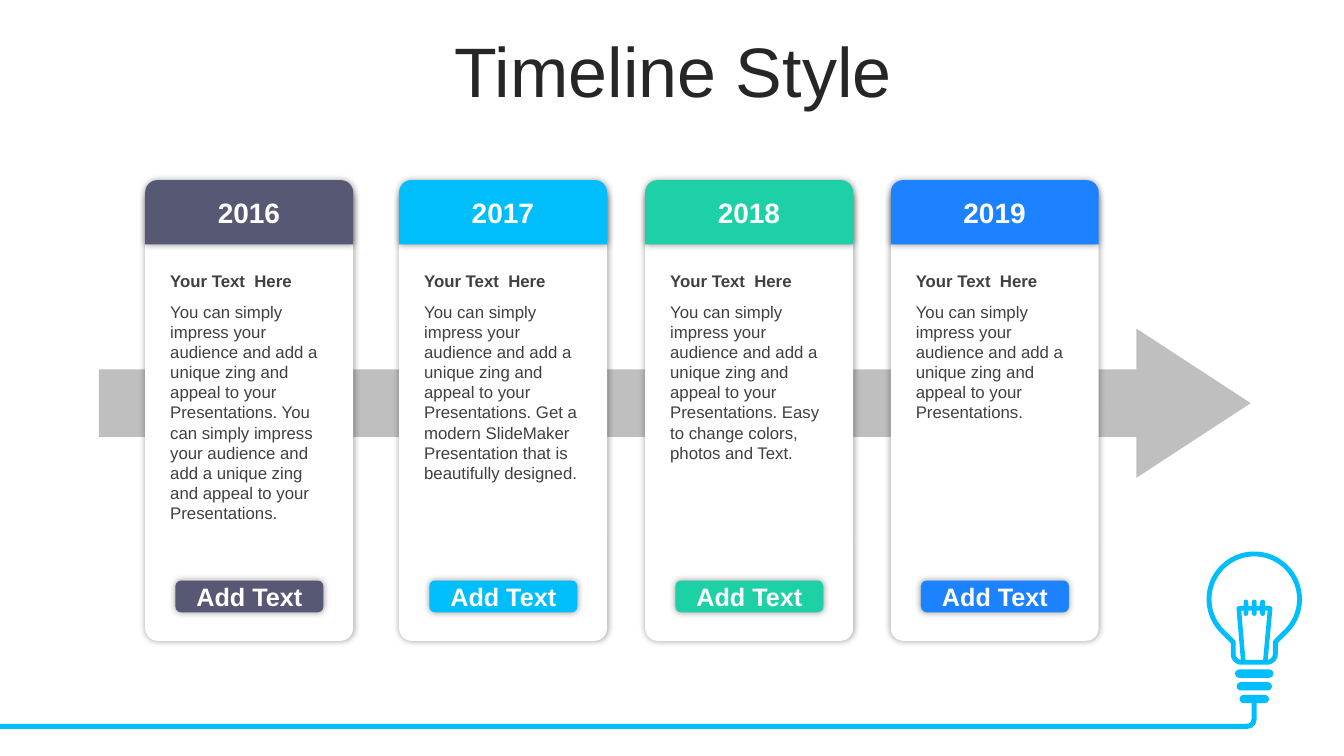
import math

from lxml import etree
from pptx import Presentation
from pptx import util as u
from pptx.dml.color import RGBColor
from pptx.enum import shapes, text
from pptx.oxml.ns import qn

Cm = u.Cm
MSO = shapes.MSO_SHAPE
CYAN, WHITE, GREY = "00BDFB", "FFFFFF", "BFBFBF"
INTRO = ("You can simply impress your audience and add a unique zing "
         "and appeal to your Presentations.")

# left edge, year, colour, description
CARDS = [
    (3.66, "2016", "565874", INTRO + " " + INTRO),
    (10.06, "2017", CYAN, INTRO + " Get a modern SlideMaker  Presentation "
                                  "that is beautifully designed."),
    (16.26, "2018", "1ED0A6", INTRO + " Easy to change colors, photos and Text."),
    (22.45, "2019", "1C82FF", INTRO),
]

# text formats
TITLE = {"size": u.Pt(50), "color": "262626"}
YEAR = {"size": u.Pt(20), "bold": True, "color": WHITE}
BUTTON = {"size": u.Pt(18), "bold": True, "color": WHITE}
HEADING = {"size": u.Pt(12), "bold": True, "color": "404040"}
BODY = {"size": u.Pt(12), "color": "404040"}


def rgb(value):
    return RGBColor.from_string(value)


def paint(sp, fill=None, line=None, width=0):
    sp.shadow.inherit = False
    if fill:
        sp.fill.solid()
        sp.fill.fore_color.rgb = rgb(fill)
    else:
        sp.fill.background()
    if line:
        sp.line.color.rgb = rgb(line)
        sp.line.width = u.Pt(width)
    else:
        sp.line.fill.background()
    return sp


def add_glow(sp):
    """Soft shadow on all sides."""
    effects = sp._element.spPr.find(qn("a:effectLst"))
    shadow = etree.SubElement(effects, qn("a:outerShdw"), blurRad=str(u.Pt(5)),
                              dist="0", dir="0", algn="ctr", rotWithShape="0")
    color = etree.SubElement(shadow, qn("a:srgbClr"), val="000000")
    etree.SubElement(color, qn("a:alpha"), val="40000")


def add_preset(s, kind, x, y, w, h, fill, adj=(), glow=False):
    sp = s.shapes.add_shape(kind, Cm(x), Cm(y), Cm(w), Cm(h))
    for i, value in enumerate(adj):
        sp.adjustments[i] = value
    paint(sp, fill)
    if glow:
        add_glow(sp)
    return sp


def add_outline(s, points, width, fill=None, close=True):
    pts = [(Cm(x), Cm(y)) for x, y in points]
    builder = s.shapes.build_freeform(*pts[0])
    builder.add_line_segments(pts[1:], close=close)
    return paint(builder.convert_to_shape(), fill, CYAN, width)


def write(sp, content, fmt, align=text.PP_ALIGN.LEFT,
          anchor=text.MSO_ANCHOR.TOP, spacing=None):
    tf = sp.text_frame
    tf.word_wrap = True
    tf.vertical_anchor = anchor
    p = tf.paragraphs[0]
    p.alignment = align
    p.line_spacing = spacing
    r = p.add_run()
    r.text = content
    r.font.name = "Arial"
    for name, value in fmt.items():
        if name == "color":
            r.font.color.rgb = rgb(value)
        else:
            setattr(r.font, name, value)


def add_text(s, x, y, w, h, content, fmt, **layout):
    sp = s.shapes.add_textbox(Cm(x), Cm(y), Cm(w), Cm(h))
    write(sp, content, fmt, **layout)


def arc(cx, cy, radius, start, end, steps=12):
    angles = [math.radians(start + (end - start) * i / steps)
              for i in range(steps + 1)]
    return [(cx + radius * math.cos(a), cy + radius * math.sin(a)) for a in angles]


def add_bulb(s):
    cx = 31.61
    # glass
    add_outline(s, arc(cx, 15.1, 1.14, 135, 405, 72)
                + [(cx + 0.53, 16.18)]
                + arc(cx + 0.32, 16.48, 0.21, 0, 90)
                + arc(cx - 0.32, 16.48, 0.21, 90, 180)
                + [(cx - 0.53, 16.18)], 3.5, WHITE)
    # screw thread
    for i, w in enumerate((0.97, 0.89, 0.74)):
        add_preset(s, MSO.ROUNDED_RECTANGLE, cx - w / 2, 16.87 + 0.32 * i,
                   w, 0.21, CYAN, [0.5])
    # filament
    add_outline(s, [(cx - 0.28, 16.64), (cx - 0.39, 15.33),
                    (cx + 0.4, 15.33), (cx + 0.28, 16.64)], 3.25, close=False)
    for offset in (-0.21, 0, 0.21):
        add_preset(s, MSO.ROUNDED_RECTANGLE, cx + offset - 0.06, 15.11,
                   0.12, 0.41, CYAN, [0.5])
    # cable
    add_preset(s, MSO.RECTANGLE, 0, 18.24, 31.42, 0.13, CYAN)
    add_preset(s, MSO.RECTANGLE, 31.54, 17.7, 0.13, 0.43, CYAN)
    add_preset(s, MSO.BLOCK_ARC, 31.19, 17.89, 0.48, 0.48, CYAN,
               [213.394, 60.915, 0.271])


def add_card(s, x, year, color, body):
    center = {"align": text.PP_ALIGN.CENTER}
    add_preset(s, MSO.ROUNDED_RECTANGLE, x, 4.75, 5.24, 11.4, WHITE, [0.06], True)
    add_preset(s, MSO.ROUND_2_SAME_RECTANGLE, x, 4.54, 5.24, 1.62, color,
               [0.19, 0], True)
    button = add_preset(s, MSO.ROUNDED_RECTANGLE, x + 0.76, 14.63, 3.73, 0.8,
                        color, [0.18], True)
    write(button, "Add Text", BUTTON, anchor=text.MSO_ANCHOR.MIDDLE, **center)
    add_text(s, x + 1.37, 4.81, 2.49, 1.11, year, YEAR, **center)
    add_text(s, x + 0.38, 6.71, 4.5, 0.77, "Your Text  Here", HEADING)
    add_text(s, x + 0.38, 7.47, 4.5, 5.9, body, BODY)


def main():
    prs = Presentation()
    prs.slide_width, prs.slide_height = Cm(33.87), Cm(19.05)
    s = prs.slides.add_slide(prs.slide_layouts[6])

    add_bulb(s)
    add_text(s, 0.89, 0.94, 32.16, 2.01, "Timeline Style", TITLE, spacing=0.8,
             align=text.PP_ALIGN.CENTER, anchor=text.MSO_ANCHOR.MIDDLE)

    # timeline
    add_preset(s, MSO.RIGHT_ARROW, 2.49, 8.28, 29.03, 3.76, GREY, [0.453, 0.766])
    for card in CARDS:
        add_card(s, *card)

    prs.save("out.pptx")


if __name__ == "__main__":
    main()
